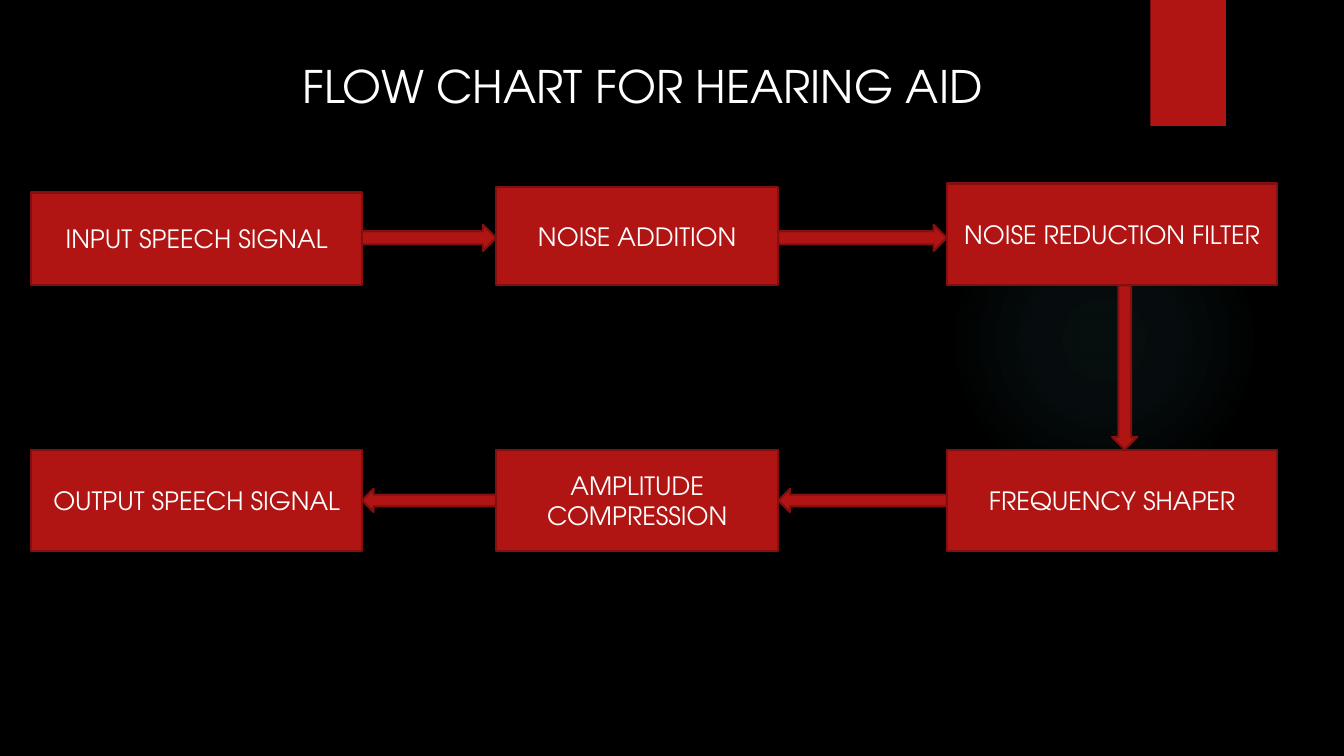
from pptx import Presentation
from pptx.dml.color import RGBColor
from pptx.enum.shapes import MSO_SHAPE
from pptx.enum.text import MSO_ANCHOR, MSO_AUTO_SIZE, PP_ALIGN
from pptx.oxml import parse_xml
from pptx.oxml.ns import nsdecls
from pptx.util import Inches, Pt

BLACK = RGBColor(0x00, 0x00, 0x00)
WHITE = RGBColor(0xFF, 0xFF, 0xFF)
RED = RGBColor(0xB0, 0x15, 0x13)
DARK_RED = RGBColor(0x82, 0x10, 0x0E)
TEAL = RGBColor(0x50, 0xB9, 0xC1)
FONT = "TeX Gyre Adventor"

TITLE = "FLOW CHART FOR HEARING AID"
COLUMNS = [(0.31, 3.28), (4.92, 2.8), (9.39, 3.28)]  # left, width
TOP_ROW_BOTTOM = 2.83
LOWER_ROW_TOP = 4.46
LOWER_ROW_HEIGHT = 1.01
TOP_ROW = [("INPUT SPEECH SIGNAL", 1.91), ("NOISE ADDITION", 1.86),
           ("NOISE REDUCTION FILTER", 1.82)]  # label, top
LOWER_ROW = ["OUTPUT SPEECH SIGNAL", "AMPLITUDE COMPRESSION", "FREQUENCY SHAPER"]
GLOW_STOPS = [(0, 7), (36, 6), (69, 0)]  # position, opacity in percent


def add_plain(kind, left, top, width, height):
    shape = page.shapes.add_shape(kind, Inches(left), Inches(top),
                                  Inches(width), Inches(height))
    shape.shadow.inherit = False
    shape.line.fill.background()
    return shape


def add_red(kind, left, top, width, height):
    shape = add_plain(kind, left, top, width, height)
    shape.fill.solid()
    shape.fill.fore_color.rgb = RED
    shape.line.color.rgb = DARK_RED
    shape.line.width = Pt(1.5)
    return shape


def write(shape, text, size, align, anchor):
    frame = shape.text_frame
    frame.text = text
    frame.word_wrap = True
    frame.auto_size = MSO_AUTO_SIZE.NONE
    frame.vertical_anchor = anchor
    para = frame.paragraphs[0]
    para.alignment = align
    font = para.runs[0].font
    font.name, font.size, font.color.rgb = FONT, Pt(size), WHITE


def add_step(label, column, top, height):
    left, width = COLUMNS[column]
    box = add_red(MSO_SHAPE.RECTANGLE, left, top, width, height)
    write(box, label, 18, PP_ALIGN.CENTER, MSO_ANCHOR.MIDDLE)


def add_glow():
    """Add the faint round light, which fades out towards its edge."""
    glow = add_plain(MSO_SHAPE.OVAL, 9.41, 1.83, 3.08, 3.08)
    stops = "".join(
        f'<a:gs pos="{position * 1000}"><a:srgbClr val="{TEAL}">'
        f'<a:alpha val="{opacity * 1000}"/></a:srgbClr></a:gs>'
        for position, opacity in GLOW_STOPS)
    gradient = parse_xml(
        f'<a:gradFill {nsdecls("a")} rotWithShape="1"><a:gsLst>{stops}</a:gsLst>'
        '<a:path path="circle"><a:fillToRect l="50000" t="50000" r="50000" b="50000"/>'
        '</a:path></a:gradFill>')
    glow._element.spPr.find("{*}prstGeom").addnext(gradient)


deck = Presentation()
deck.slide_width, deck.slide_height = Inches(13.33), Inches(7.5)
page = deck.slides.add_slide(deck.slide_layouts[5])
page.background.fill.solid()
page.background.fill.fore_color.rgb = BLACK

add_glow()
ribbon = add_plain(MSO_SHAPE.RECTANGLE, 11.41, 0, 0.75, 1.25)
ribbon.fill.solid()
ribbon.fill.fore_color.rgb = RED

for column, (label, top) in enumerate(TOP_ROW):
    add_step(label, column, top, TOP_ROW_BOTTOM - top)
for column, label in enumerate(LOWER_ROW):
    add_step(label, column, LOWER_ROW_TOP, LOWER_ROW_HEIGHT)

for (left, width), (next_left, _) in zip(COLUMNS, COLUMNS[1:]):
    start = left + width
    gap = next_left - start
    add_red(MSO_SHAPE.RIGHT_ARROW, start, 2.23, gap, 0.26)
    add_red(MSO_SHAPE.LEFT_ARROW, start, 4.85, gap, 0.23)
add_red(MSO_SHAPE.DOWN_ARROW, 11.03, TOP_ROW_BOTTOM, 0.25,
        LOWER_ROW_TOP - TOP_ROW_BOTTOM)

title = page.shapes.title
title.left, title.top = Inches(2.9), Inches(0.53)
title.width, title.height = Inches(7.08), Inches(0.64)
write(title, TITLE, 32, PP_ALIGN.LEFT, MSO_ANCHOR.TOP)

deck.save("out.pptx")
